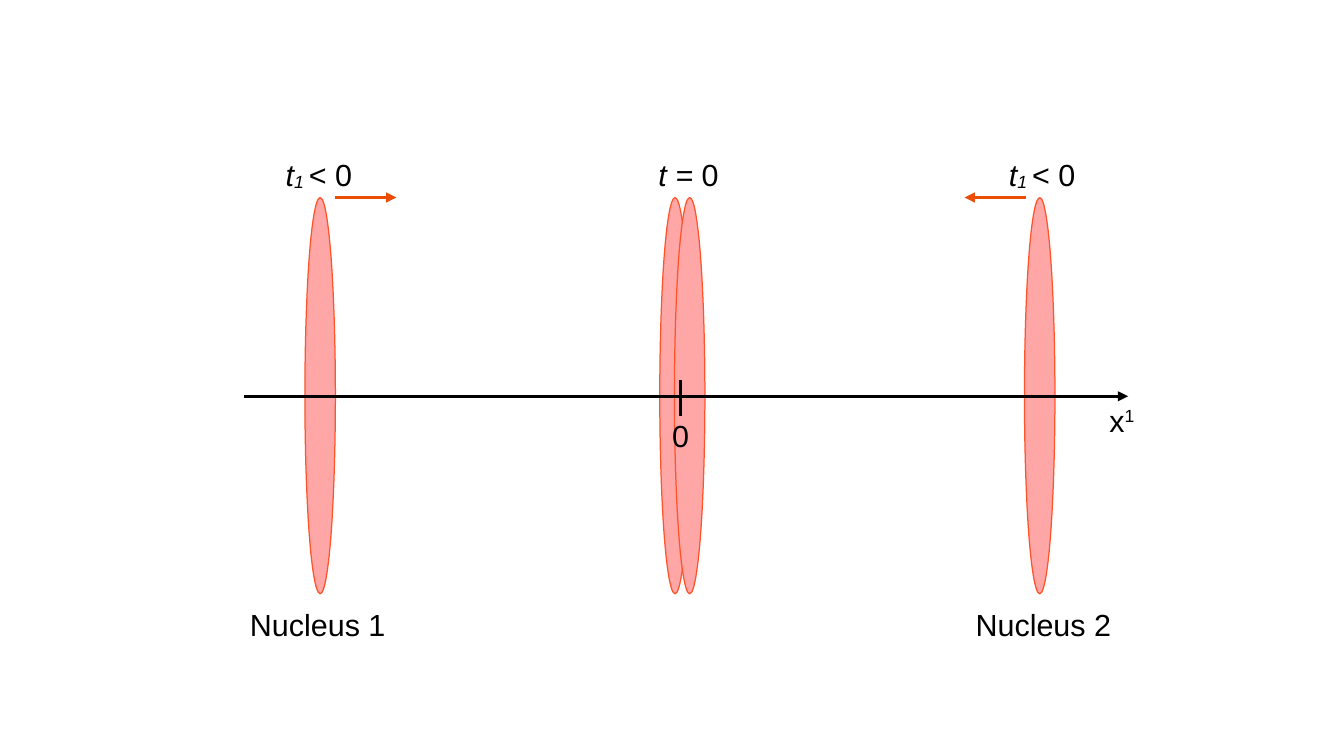
from dataclasses import dataclass

from lxml import etree
from pptx import Presentation
from pptx.dml.color import RGBColor
from pptx.enum.shapes import MSO_CONNECTOR, MSO_SHAPE
from pptx.enum.text import PP_ALIGN
from pptx.oxml.ns import qn
from pptx.util import Inches, Pt

OVAL = MSO_SHAPE.OVAL
STRAIGHT = MSO_CONNECTOR.STRAIGHT
CENTER = PP_ALIGN.CENTER


@dataclass(frozen=True)
class Theme:
    """Colours, font and type size of the diagram."""
    ink: RGBColor = RGBColor.from_string("000000")
    nucleus_fill: RGBColor = RGBColor.from_string("FFA6A6")
    nucleus_edge: RGBColor = RGBColor.from_string("FF5429")
    motion: RGBColor = RGBColor.from_string("ED4C05")
    font: str = "Arial"
    size: Pt = Pt(18)
    hairline: Pt = Pt(0)


class Diagram:
    """Draws the elements of the collision diagram on one slide."""

    def __init__(self, page, theme):
        self.page = page
        self.theme = theme

    def nucleus(self, left):
        """Draw a flattened nucleus at the given left edge."""
        oval = self.page.shapes.add_shape(
            OVAL, Inches(left), Inches(1.62), Inches(0.25), Inches(3.25))
        oval.shadow.inherit = False
        oval.fill.solid()
        oval.fill.fore_color.rgb = self.theme.nucleus_fill
        oval.line.color.rgb = self.theme.nucleus_edge
        oval.line.width = self.theme.hairline

    def line(self, start, end, color, arrow=True):
        """Draw a hairline, with an arrowhead at its end if wanted."""
        connector = self.page.shapes.add_connector(
            STRAIGHT, *(Inches(value) for value in (*start, *end)))
        connector.line.color.rgb = color
        connector.line.width = self.theme.hairline
        if arrow:
            etree.SubElement(connector.line._get_or_add_ln(), qn("a:tailEnd"), type="triangle")
        etree.SubElement(connector._element.spPr, qn("a:effectLst"))

    def label(self, left, top, width, *spans):
        """Write a centred label from (text, italic, baseline) spans."""
        box = self.page.shapes.add_textbox(
            Inches(left), Inches(top), Inches(width), Inches(0.44))
        frame = box.text_frame
        frame.word_wrap = True
        frame.margin_left = frame.margin_right = Inches(0)
        para = frame.paragraphs[0]
        para.alignment = CENTER
        para.font.name = self.theme.font
        para.font.size = self.theme.size
        para.font.color.rgb = self.theme.ink
        for text, italic, baseline in spans:
            span = para.add_run()
            span.text = text
            span.font.italic = italic
            if baseline:
                span.font._element.set("baseline", str(baseline * 1000))


def main():
    """Build the slide and save it."""
    deck = Presentation()
    deck.slide_width, deck.slide_height = Inches(11.02), Inches(6.2)
    theme = Theme()
    diagram = Diagram(deck.slides.add_slide(deck.slide_layouts[6]), theme)

    for left in (2.5, 8.4, 5.41, 5.53):
        diagram.nucleus(left)

    diagram.line((5.58, 3.12), (5.58, 3.41), theme.ink, arrow=False)
    diagram.line((2, 3.25), (9.25, 3.25), theme.ink)
    for start, end in ((2.75, 3.25), (8.41, 7.91)):
        diagram.line((start, 1.62), (end, 1.62), theme.motion)

    for left in (2.24, 8.17):
        diagram.label(left, 1.23, 0.75, ("t", True, 0), ("1 ", True, -8), ("< 0", False, 0))
    diagram.label(5.27, 1.23, 0.75, ("t = ", True, 0), ("0", False, 0))
    diagram.label(5.41, 3.37, 0.34, ("0", False, 0))
    diagram.label(9, 3.25, 0.4, ("x", False, 0), ("1", False, 33))
    for left, name in ((1.95, "Nucleus 1"), (7.9, "Nucleus 2")):
        diagram.label(left, 4.92, 1.31, (name, False, 0))

    deck.save("out.pptx")


if __name__ == "__main__":
    main()
